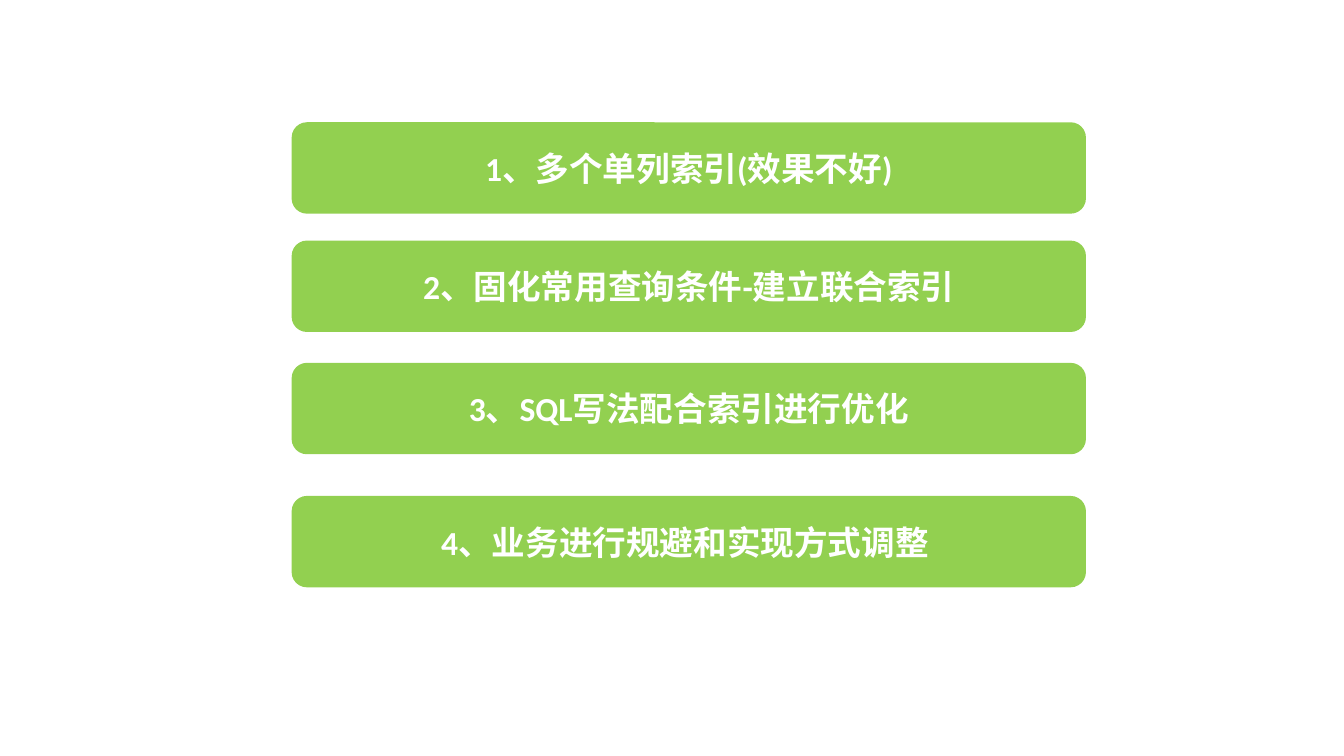
"""Build a slide listing four index optimisation approaches as stacked bars."""
from pptx import Presentation
from pptx.dml.color import RGBColor
from pptx.enum import shapes, text
from pptx.util import Inches, Pt

GREEN = RGBColor(0x92, 0xD0, 0x50)
WHITE = RGBColor(0xFF, 0xFF, 0xFF)

APPROACHES = [
    (0.91, "1、多个单列索引(效果不好)"),
    (1.79, "2、固化常用查询条件-建立联合索引"),
    (2.70, "3、SQL写法配合索引进行优化"),
    (3.69, "4、业务进行规避和实现方式调整 "),
]
BAR_LEFT, BAR_WIDTH, BAR_HEIGHT = 2.17, 5.91, 0.68


def add_approach(slide, top, wording):
    bar = slide.shapes.add_shape(
        shapes.MSO_SHAPE.ROUNDED_RECTANGLE,
        Inches(BAR_LEFT), Inches(top), Inches(BAR_WIDTH), Inches(BAR_HEIGHT),
    )
    bar.shadow.inherit = False
    bar.fill.solid()
    bar.fill.fore_color.rgb = GREEN
    bar.line.fill.background()
    bar.text_frame.word_wrap = True
    bar.text_frame.vertical_anchor = text.MSO_ANCHOR.MIDDLE
    label = bar.text_frame.paragraphs[0]
    label.text = wording
    label.alignment = text.PP_ALIGN.CENTER
    label.font.name = "Calibri"
    label.font.size = Pt(18)
    label.font.bold = True
    label.font.color.rgb = WHITE


def main():
    deck = Presentation()
    deck.slide_width = Inches(10)
    deck.slide_height = deck.slide_width * 9 // 16
    slide = deck.slides.add_slide(deck.slide_layouts[6])
    for top, wording in APPROACHES:
        add_approach(slide, top, wording)
    deck.save("out.pptx")


if __name__ == "__main__":
    main()
